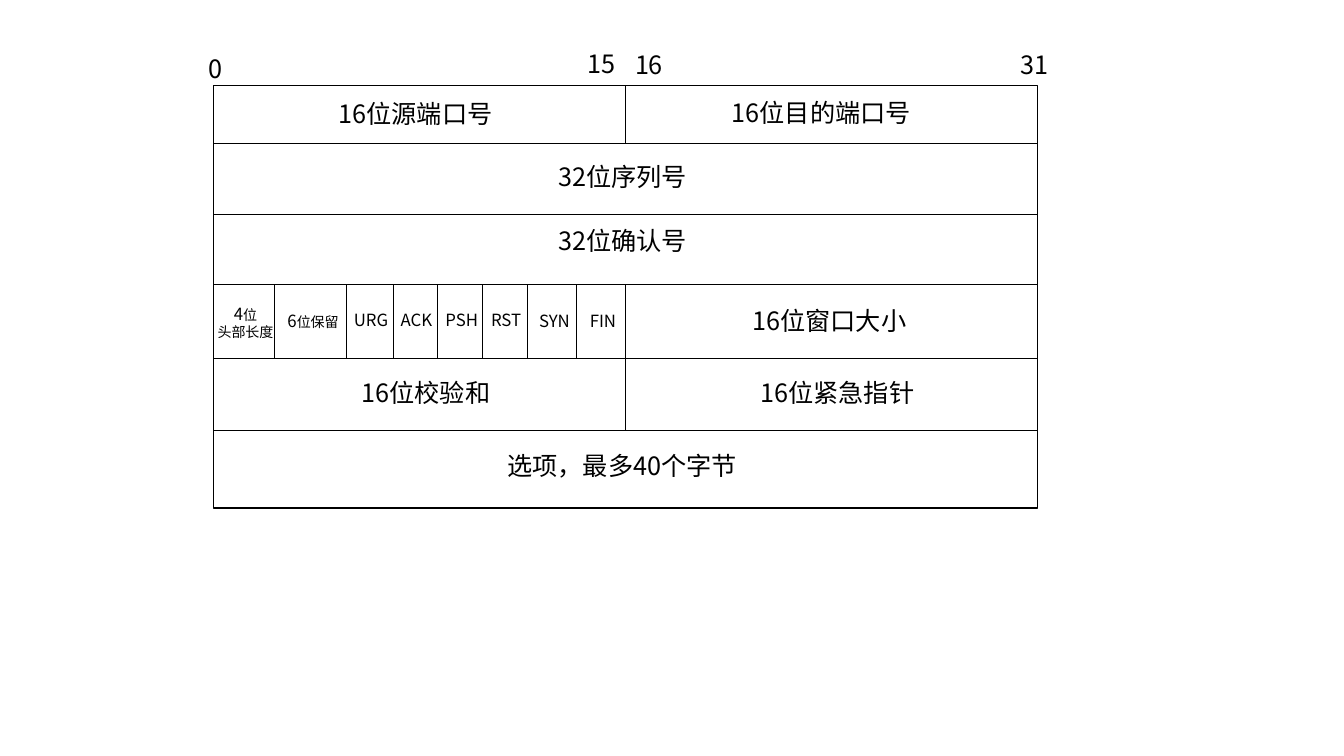
from pptx import Presentation
from pptx.dml.color import RGBColor
from pptx.enum.shapes import MSO_CONNECTOR, MSO_SHAPE
from pptx.enum.text import MSO_AUTO_SIZE, PP_ALIGN
from pptx.oxml.ns import qn
from pptx.util import Inches, Pt
from lxml.etree import SubElement


def color(value):
    return RGBColor.from_string(value)


def apply(target, values):
    for name, value in values.items():
        setattr(target, name, value)


class Diagram:
    font = "Noto Sans CJK SC"
    ink = "000000"
    paper = "FFFFFF"

    def __init__(self, page):
        self.page = page

    def frame(self, left, top, width, height):
        shape = self.page.shapes.add_shape(
            MSO_SHAPE.RECTANGLE, *map(Inches, (left, top, width, height)))
        shape.shadow.inherit = False
        shape.fill.solid()
        shape.fill.fore_color.rgb = color(self.paper)
        shape.line.color.rgb = color(self.ink)
        shape.line.width = Pt(1)

    def rule(self, x1, y1, x2, y2):
        line = self.page.shapes.add_connector(
            MSO_CONNECTOR.STRAIGHT, *map(Inches, (x1, y1, x2, y2)))
        line.line.color.rgb = color(self.ink)
        line.line.width = Pt(0.5)
        SubElement(line._element.spPr, qn("a:effectLst"))

    def label(self, left, top, width, height, paragraphs, align=PP_ALIGN.CENTER):
        box = self.page.shapes.add_textbox(*map(Inches, (left, top, width, height)))
        frame = box.text_frame
        apply(frame, {"word_wrap": True, "auto_size": MSO_AUTO_SIZE.SHAPE_TO_FIT_TEXT})
        for index, spans in enumerate(paragraphs):
            para = frame.add_paragraph() if index else frame.paragraphs[0]
            para.alignment = align
            for text, size in spans:
                span = para.add_run()
                span.text = text
                apply(span.font, {"size": Pt(size), "name": self.font})
                span.font.color.rgb = color(self.ink)
                east = SubElement(span.font._element, qn("a:ea"))
                east.set("typeface", self.font)


deck = Presentation()
apply(deck, {"slide_width": Inches(13.33), "slide_height": Inches(7.5)})
diagram = Diagram(deck.slides.add_slide(deck.slide_layouts[6]))

LEFT, MIDDLE, RIGHT = 2.12, 6.2, 10.29
TOP, BOTTOM = 0.85, 5.04
ROWS = [1.42, 2.13, 2.82, 3.56, 4.27]
FLAG_EDGES = [2.72, 3.44, 3.9, 4.34, 4.78, 5.23, 5.72]

diagram.frame(LEFT, TOP, RIGHT - LEFT, BOTTOM - TOP)
for y in ROWS:
    diagram.rule(LEFT, y, RIGHT, y)
for start, end in [(TOP, ROWS[0]), (ROWS[2], ROWS[4])]:
    diagram.rule(MIDDLE, start, MIDDLE, end)
for x in FLAG_EDGES:
    diagram.rule(x, ROWS[2], x, ROWS[3])

bit_numbers = [("0", 1.97, 0.48), ("15", 5.73, 0.43), ("16", 6.2, 0.44), ("31", 10.02, 0.44)]
for text, left, top in bit_numbers:
    diagram.label(left, top, 0.5, 0.4, [[(text, 18)]], PP_ALIGN.LEFT)

ports = [("16位源端口号", 3.26, 0.93), ("16位目的端口号", 7.16, 0.92)]
for text, left, top in ports:
    diagram.label(left, top, 2.44, 0.4, [[(text, 18)]], PP_ALIGN.LEFT)

fields = [
    ("32位序列号", 5.2, 1.55, 1.95),
    ("32位确认号", 5.2, 2.19, 1.95),
    ("16位窗口大小", 7.25, 2.98, 1.95),
    ("16位校验和", 3.25, 3.69, 1.95),
    ("16位紧急指针", 7.33, 3.69, 1.95),
    ("选项，最多40个字节", 4.78, 4.42, 2.78),
]
for text, left, top, width in fields:
    diagram.label(left, top, width, 0.4, [[(text, 18)]])

diagram.label(2.03, 2.96, 0.81, 0.47, [[("4", 12), ("位", 10)], [("头部长度", 10)]])
diagram.label(2.72, 3.03, 0.77, 0.3, [[("6", 12), ("位保留", 10)]])

flags = [("URG", 3.24, 3.02), ("ACK", 3.69, 3.02), ("PSH", 4.14, 3.02),
         ("RST", 4.58, 3.02), ("SYN", 5.06, 3.03), ("FIN", 5.54, 3.03)]
for text, left, top in flags:
    diagram.label(left, top, 0.88, 0.3, [[(text, 12)]])

deck.save("out.pptx")
